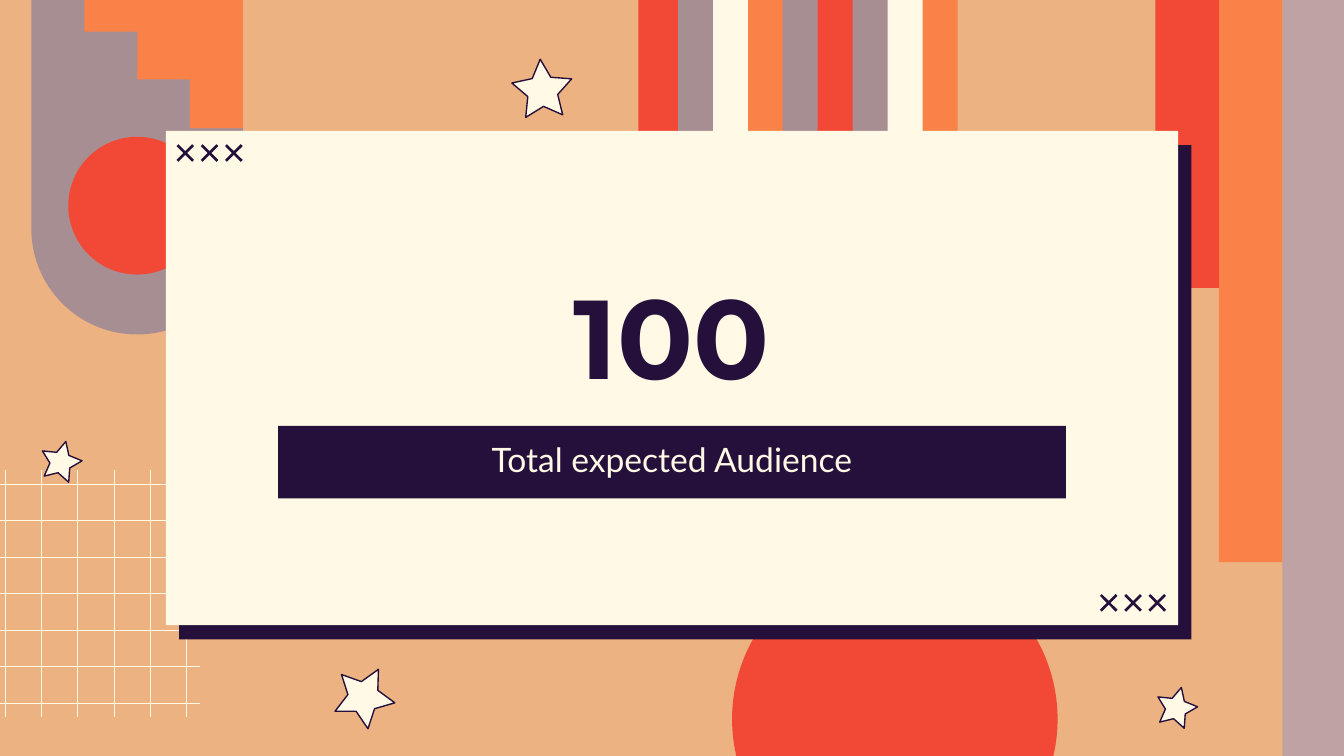
from dataclasses import dataclass
from math import cos, radians, sin

from lxml import etree
from pptx import Presentation
from pptx.dml.color import RGBColor
from pptx.enum.shapes import MSO_CONNECTOR, MSO_SHAPE
from pptx.enum.text import MSO_ANCHOR, MSO_AUTO_SIZE, PP_ALIGN
from pptx.oxml.ns import qn
from pptx.util import Pt

RECTANGLE = MSO_SHAPE.RECTANGLE
OVAL = MSO_SHAPE.OVAL
ARCH = MSO_SHAPE.ROUND_2_SAME_RECTANGLE
STRAIGHT = MSO_CONNECTOR.STRAIGHT
TOP, BOTTOM = MSO_ANCHOR.TOP, MSO_ANCHOR.BOTTOM
CENTER = PP_ALIGN.CENTER
NO_FIT = MSO_AUTO_SIZE.NONE

SAND, CREAM, PLUM = "ECB281", "FFF9E5", "25103B"
ORANGE, RED, GREY, MAUVE = "FA8147", "F14936", "A78E92", "BFA2A4"


@dataclass
class Block:
    left: float
    top: float
    width: float
    height: float
    color: str
    kind: int = RECTANGLE
    adjustments: tuple = ()


@dataclass
class Star:
    x: float
    y: float
    radius: float
    angle: float


@dataclass
class Caption:
    frame: tuple
    text: str
    anchor: int
    font: dict
    color: str


def rgb(color: str) -> RGBColor:
    return RGBColor.from_string(color)


def paint(shape, color: str, outline: str = "") -> None:
    shape.shadow.inherit = False
    shape.fill.solid()
    shape.fill.fore_color.rgb = rgb(color)
    if outline:
        shape.line.color.rgb = rgb(outline)
        shape.line.width = Pt(0.75)
    else:
        shape.line.fill.background()


def draw_block(page, block: Block):
    frame = (block.left, block.top, block.width, block.height)
    shape = page.shapes.add_shape(block.kind, *map(Pt, frame))
    for index, value in enumerate(block.adjustments):
        shape.adjustments[index] = value
    paint(shape, block.color)
    return shape


def draw_outline(page, points: list, color: str, outline: str = "") -> None:
    corners = [(Pt(x), Pt(y)) for x, y in points]
    builder = page.shapes.build_freeform(*corners[0])
    builder.add_line_segments(corners[1:], close=True)
    paint(builder.convert_to_shape(), color, outline)


def draw_star(page, star: Star) -> None:
    points = []
    for step in range(10):
        turn = radians(star.angle + 36 * step)
        reach = star.radius * (0.5 if step % 2 else 1)
        points.append((star.x + reach * cos(turn), star.y + reach * sin(turn)))
    draw_outline(page, points, CREAM, PLUM)


def draw_cross(page, x: float, y: float, half: float = 4.7, notch: float = 1) -> None:
    arm = [(0, -notch), (half - notch, -half), (half, notch - half)]
    points = []
    for _ in range(4):
        points += [(x + across, y + down) for across, down in arm]
        arm = [(-down, across) for across, down in arm]
    draw_outline(page, points, PLUM)


def draw_grid_line(page, *ends: float) -> None:
    line = page.shapes.add_connector(STRAIGHT, *map(Pt, ends))
    line.line.color.rgb = rgb(CREAM)
    line.line.width = Pt(0.4)
    etree.SubElement(line.element.spPr, qn("a:effectLst"))


def add_hard_shadow(shape, color: str, distance: float, degrees: int) -> None:
    effects = shape.element.spPr.find(qn("a:effectLst"))
    shadow = etree.SubElement(
        effects, qn("a:outerShdw"), blurRad="0", dist=str(Pt(distance)),
        dir=str(degrees * 60000), algn="bl", rotWithShape="0")
    etree.SubElement(shadow, qn("a:srgbClr"), val=color)


def fill_placeholder(page, box, caption: Caption) -> None:
    page.shapes.element.append(box.element)  # bring in front of the card
    box.left, box.top, box.width, box.height = map(Pt, caption.frame)
    frame = box.text_frame
    frame.text = caption.text
    settings = {"word_wrap": True, "auto_size": NO_FIT,
                "vertical_anchor": caption.anchor}
    settings |= {f"margin_{side}": Pt(7.2)
                 for side in ("left", "top", "right", "bottom")}
    for name, value in settings.items():
        setattr(frame, name, value)
    para = frame.paragraphs[0]
    para.alignment = CENTER
    para.space_before = Pt(0)
    span = para.runs[0]
    for name, value in caption.font.items():
        setattr(span.font, name, value)
    span.font.color.rgb = rgb(caption.color)


def main() -> None:
    deck = Presentation()
    deck.slide_width, deck.slide_height = Pt(720), Pt(405)
    page = deck.slides.add_slide(deck.slide_layouts[0])
    page.background.fill.solid()
    page.background.fill.fore_color.rgb = rgb(SAND)

    # Overlapping stripes, from right to left
    stripes = [RED, GREY, CREAM, ORANGE, GREY, RED, GREY, CREAM, ORANGE]
    for index, color in reversed(list(enumerate(stripes))):
        draw_block(page, Block(342 + 18.73 * index, -11.5, 21.2, 136.8, color))

    # Circles, arch and stairs
    draw_block(page, Block(392.2, 298.1, 174.4, 174.4, RED, OVAL))
    draw_block(page, Block(16.8, -33.8, 113.3, 213, GREY, ARCH, (0, 0.5)))
    draw_block(page, Block(36.6, 73.3, 73.8, 73.8, RED, OVAL))
    stairs = [(130.2, -35), (16.8, -35), (16.8, -9.2), (45.2, -9.2),
              (45.2, 16.9), (73.6, 16.9), (73.6, 42.6), (101.8, 42.6),
              (101.8, 68.6), (130.2, 68.6)]
    draw_outline(page, stairs, ORANGE)

    # Bars on the right
    for index, (color, height) in enumerate(
            [(MAUVE, 406.4), (ORANGE, 301.9), (RED, 155)]):
        draw_block(page, Block(687 - 34 * index, -0.7, 34, height, color))

    # Grid
    for index in range(6):
        x = 2.9 + 19.4 * index
        draw_grid_line(page, x, 251.8, x, 384)
    for index in range(7):
        y = 259.3 + 19.55 * index
        draw_grid_line(page, -23.8, y, 107.3, y)

    # Stars
    for star in [Star(32.5, 247.7, 11.5, -4), Star(290.6, 48.6, 16.9, -94),
                 Star(630.1, 379.5, 11.5, -4), Star(194.8, 373.6, 17, 10)]:
        draw_star(page, star)

    # Card with its corner crosses
    card = draw_block(page, Block(88.8, 70.1, 542.3, 264.8, CREAM))
    add_hard_shadow(card, PLUM, 10.5, 47)
    for left, y in [(99.3, 82), (594, 323)]:
        for index in range(3):
            draw_cross(page, left + 13 * index, y)

    # Figure and its label
    title, subtitle = page.shapes.title, page.placeholders[1]
    fill_placeholder(page, title, Caption(
        (100.8, 137.5, 518, 85), "100", BOTTOM,
        {"name": "Montserrat", "size": Pt(60), "bold": True}, PLUM))
    fill_placeholder(page, subtitle, Caption(
        (149, 228.2, 422, 38.9), "Total expected Audience", TOP,
        {"name": "Lato", "size": Pt(18), "bold": False}, CREAM))
    subtitle.fill.solid()
    subtitle.fill.fore_color.rgb = rgb(PLUM)

    deck.save("out.pptx")


if __name__ == "__main__":
    main()
